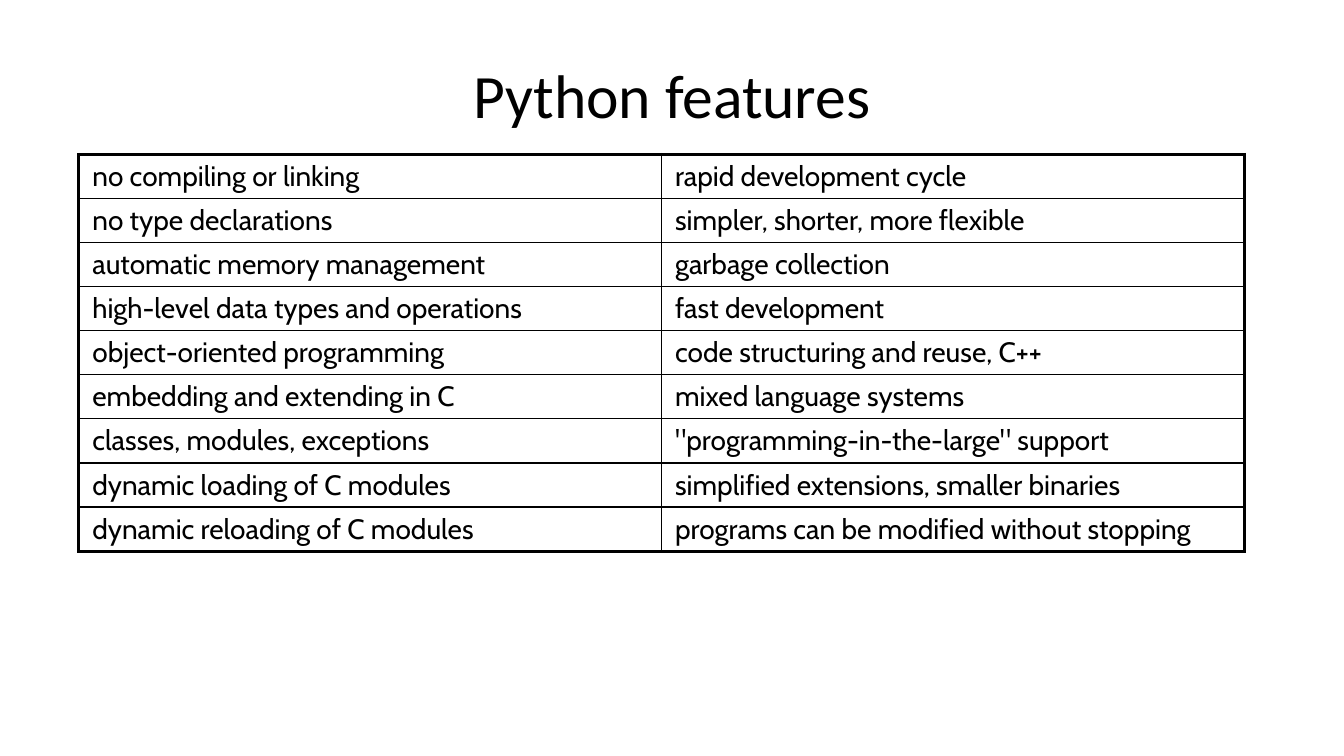
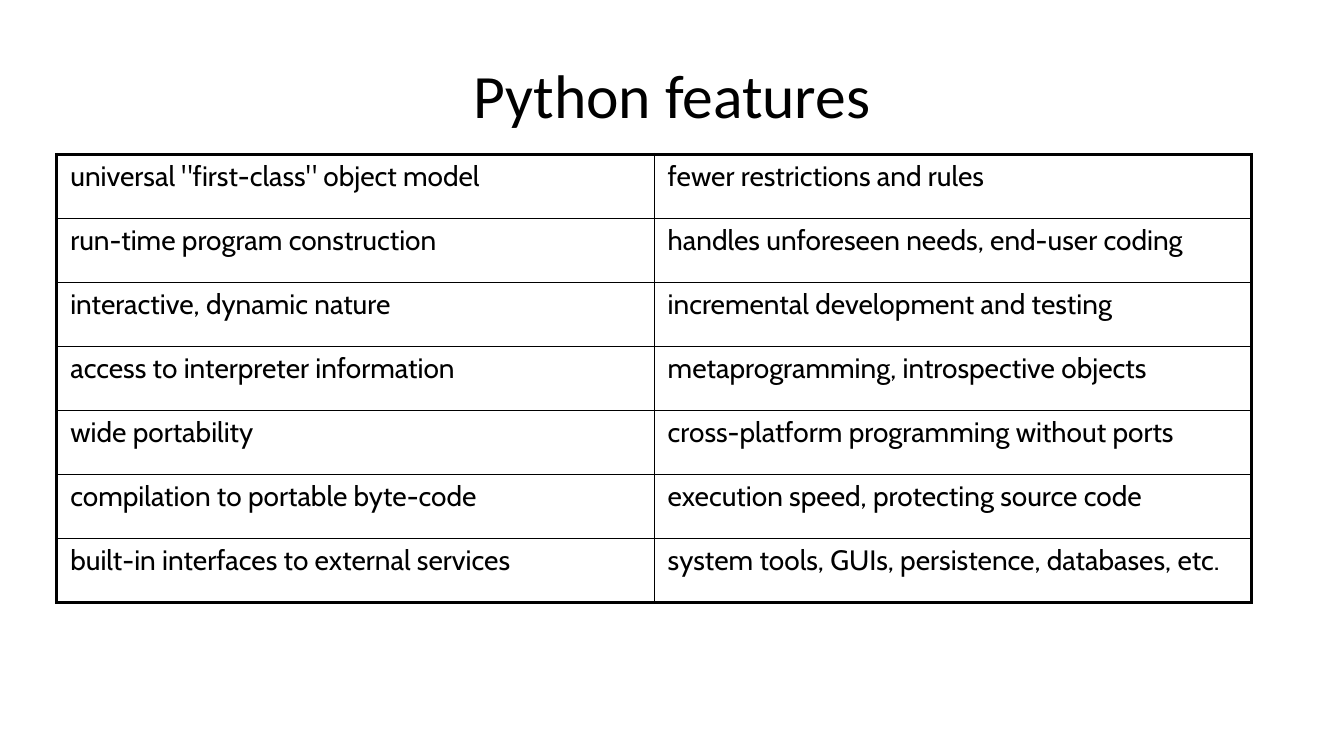
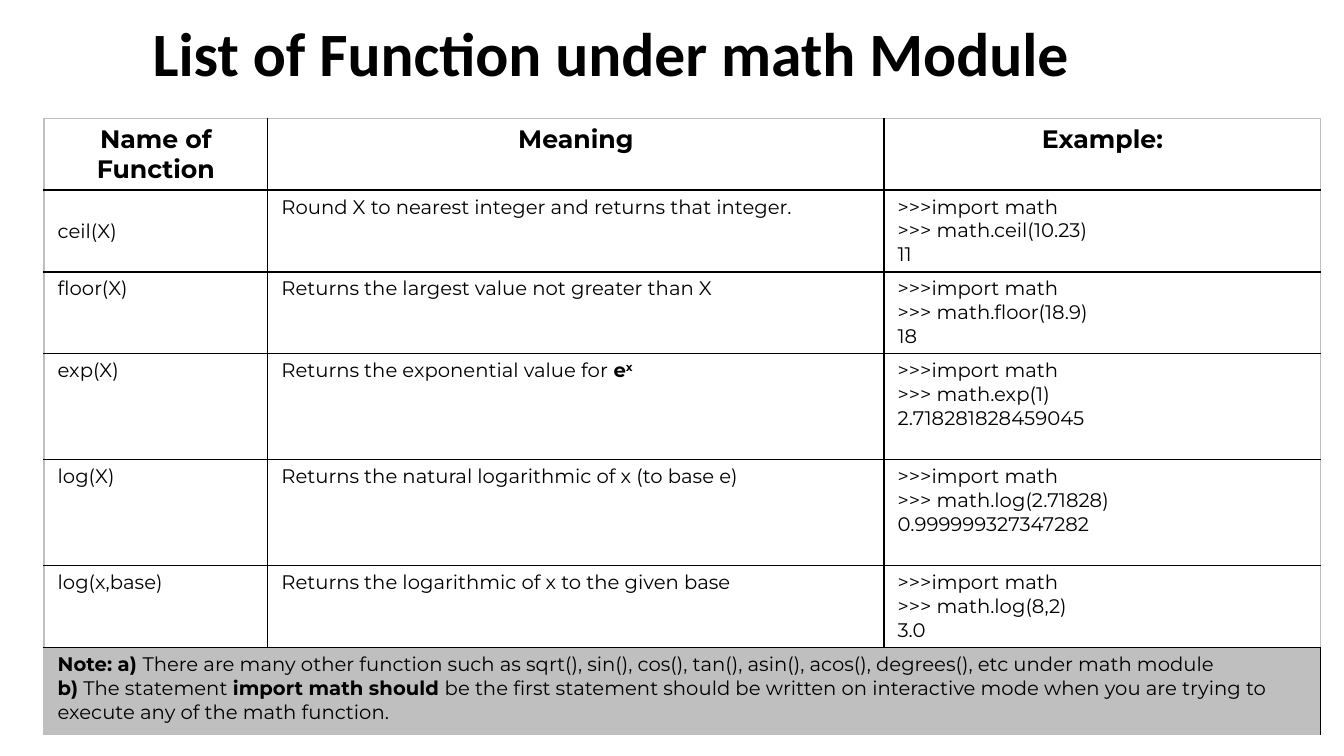
from lxml import etree
from pptx import Presentation
from pptx import util as u
from pptx.dml.color import RGBColor
from pptx.enum import text
from pptx.oxml.ns import qn

PX = 9525  # EMU in one px, 96 px to the inch
COLORS = {"ink": "000000", "note": "BFBFBF", "edge": "BFBFBF"}
TITLE_FONT, FEATURE_FONT, MATH_FONT = "Calibri", "Cabin", "Montserrat"
TITLE_BOX = (64, 29, 1152, 120)

LANGUAGE_FEATURES = [
    ("no compiling or linking", "rapid development cycle"),
    ("no type declarations", "simpler, shorter, more flexible"),
    ("automatic memory management", "garbage collection"),
    ("high-level data types and operations", "fast development"),
    ("object-oriented programming", "code structuring and reuse, C++"),
    ("embedding and extending in C", "mixed language systems"),
    ("classes, modules, exceptions", '"programming-in-the-large" support'),
    ("dynamic loading of C modules", "simplified extensions, smaller binaries"),
    ("dynamic reloading of C modules", "programs can be modified without stopping"),
]
RUNTIME_FEATURES = [
    ('universal "first-class" object model', "fewer restrictions and rules"),
    ("run-time program construction", "handles unforeseen needs, end-user coding"),
    ("interactive, dynamic nature", "incremental development and testing"),
    ("access to interpreter information", "metaprogramming, introspective objects"),
    ("wide portability", "cross-platform programming without ports"),
    ("compilation to portable byte-code", "execution speed, protecting source code"),
    ("built-in interfaces to external services",
     "system tools, GUIs, persistence, databases, etc."),
]
# Asterisks switch bold on and off, a caret raises the rest of a run
MATH_FUNCTIONS = [
    ("*Name of Function*", "*Meaning*", "*Example:*"),
    ("ceil(X)", "Round X to nearest integer and returns that integer.",
     ">>>import math\n>>> math.ceil(10.23)\n11"),
    ("floor(X)", "Returns the largest value not greater than X",
     ">>>import math\n>>> math.floor(18.9)\n18"),
    ("exp(X)", "Returns the exponential value for *e^x*",
     ">>>import math\n>>> math.exp(1)\n2.718281828459045"),
    ("log(X)", "Returns the natural logarithmic of x (to base e)",
     ">>>import math\n>>> math.log(2.71828)\n0.999999327347282"),
    ("log(x,base)", "Returns the logarithmic of x to the given base",
     ">>>import math\n>>> math.log(8,2)\n3.0"),
    ("*Note: a) *There are many other function such as sqrt(), sin(), cos(), tan(), "
     "asin(), acos(), degrees(), etc under math module\n"
     "*b)* The statement *import math should *be the first statement should be written "
     "on interactive mode when you are trying to execute any of the math function.",
     "", ""),
]


def px(length):
    return u.Emu(length * PX)


def style(run, font, size, bold=False):
    run.font.name, run.font.size, run.font.bold = font, u.Pt(size), bold
    run.font.color.rgb = RGBColor.from_string(COLORS["ink"])


def write(paragraph, marked, font, size):
    """Fill a paragraph from text with bold and raised marks."""
    for i, stretch in enumerate(marked.split("*")):
        for j, piece in enumerate(stretch.split("^")):
            if piece:
                run = paragraph.add_run()
                run.text = piece
                style(run, font, size, bold=i % 2 == 1)
                if j:
                    run.font._element.set("baseline", "30000")


def add_title(slide, wording, box=TITLE_BOX, bold=False, indent=0):
    frame = slide.shapes.add_textbox(*map(px, box)).text_frame
    frame.word_wrap = True
    frame.vertical_anchor = text.MSO_ANCHOR.MIDDLE
    frame.margin_left = px(10 + indent)
    frame.text = wording
    heading = frame.paragraphs[0]
    heading.alignment = text.PP_ALIGN.CENTER
    style(heading.runs[0], TITLE_FONT, 44, bold)


def set_borders(cell, sides):
    """Draw left, right, top and bottom borders given as (colour, points)."""
    props = cell._tc.get_or_add_tcPr()
    for i, (side, (color, width)) in enumerate(zip("LRTB", sides)):
        line = etree.Element(qn(f"a:ln{side}"), w=str(u.Pt(width)))
        fill = etree.SubElement(line, qn("a:solidFill"))
        etree.SubElement(fill, qn("a:srgbClr"), val=COLORS[color])
        props.insert(i, line)


def add_grid(slide, left, top, widths, heights, rows, font, size, outer):
    """Add a ruled table; outer is the (colour, points) of its frame."""
    inner = ("ink", 1)
    grid = slide.shapes.add_table(len(rows), len(widths), px(left), px(top),
                                  px(sum(widths)), px(sum(heights))).table
    grid.first_row = grid.horz_banding = False
    for column, width in zip(grid.columns, widths):
        column.width = px(width)
    for r, (wordings, height) in enumerate(zip(rows, heights)):
        grid.rows[r].height = px(height)
        for c, wording in enumerate(wordings):
            cell = grid.cell(r, c)
            cell.margin_left = cell.margin_right = px(13)
            cell.fill.background()
            on_edge = (c == 0, c == len(widths) - 1, r == 0, r == len(rows) - 1)
            set_borders(cell, [outer if edge else inner for edge in on_edge])
            for n, marked in enumerate(wording.split("\n")):
                frame = cell.text_frame
                paragraph = frame.add_paragraph() if n else frame.paragraphs[0]
                write(paragraph, marked, font, size)
    return grid


def add_features(slide, left, width, height, rows):
    add_title(slide, "Python features")
    add_grid(slide, left, 147, [width] * 2, [height] * len(rows), rows,
             FEATURE_FONT, 20, outer=("ink", 2.25))


def add_math_functions(slide):
    add_title(slide, "List of Function under math Module", (64, 3, 1024, 93),
              bold=True, indent=12)
    grid = add_grid(slide, 42, 113, [213, 587, 416], [68, 78, 78, 101, 101, 78, 83],
                    MATH_FUNCTIONS, MATH_FONT, 14, outer=("edge", 1))
    # Header row
    for cell in grid.rows[0].cells:
        heading = cell.text_frame.paragraphs[0]
        heading.alignment = text.PP_ALIGN.CENTER
        heading.runs[0].font.size = u.Pt(18)
    grid.cell(1, 0).vertical_anchor = text.MSO_ANCHOR.MIDDLE
    # Note across the last row
    last = len(MATH_FUNCTIONS) - 1
    note = grid.cell(last, 0)
    note.merge(grid.cell(last, 2))
    note.fill.solid()
    note.fill.fore_color.rgb = RGBColor.from_string(COLORS["note"])


def main():
    deck = Presentation()
    deck.slide_width, deck.slide_height = px(1280), px(720)
    blank = deck.slide_layouts[6]
    add_features(deck.slides.add_slide(blank), 75, 555, 42, LANGUAGE_FEATURES)
    add_features(deck.slides.add_slide(blank), 54, 569, 61, RUNTIME_FEATURES)
    add_math_functions(deck.slides.add_slide(blank))
    deck.save("out.pptx")


if __name__ == "__main__":
    main()
